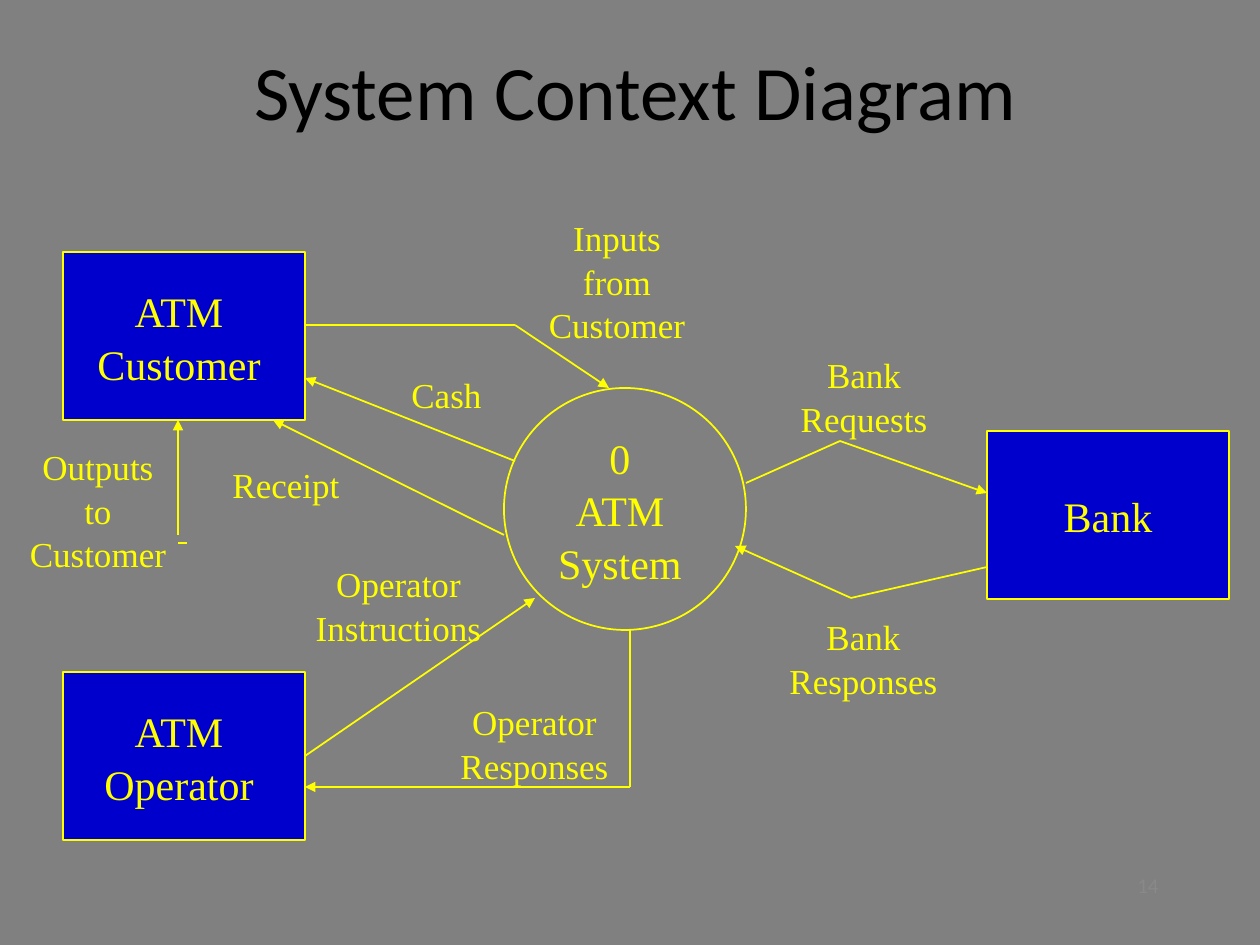
from lxml.etree import SubElement
from pptx import Presentation
from pptx.dml.color import RGBColor
from pptx.enum.shapes import MSO_CONNECTOR as LINE, MSO_SHAPE as SHAPE
from pptx.enum.text import MSO_ANCHOR as ANCHOR, PP_ALIGN as ALIGN
from pptx.oxml.ns import qn
from pptx.util import Pt

SCALE = 914400 / 126  # EMU in one px
YELLOW, BLUE, GREY = "FFFF00", "0000CC", "808080"
SERIF = {"name": "Times New Roman", "size": Pt(24)}
LABEL = {"name": "Times New Roman", "size": Pt(20)}
TITLE = {"name": "Calibri", "size": Pt(44)}
NUMBER = {"name": "Calibri", "size": Pt(12)}


def px(*lengths):
    """Turn px into EMU."""
    return [round(length * SCALE) for length in lengths]


def write(box, text, font, color, anchor=ANCHOR.TOP, right=0, spacing=1.0):
    """Fill a shape with centred text; a newline starts a paragraph."""
    frame = box.text_frame
    frame.text = text
    settings = {"word_wrap": False, "vertical_anchor": anchor, "margin_left": 0,
                "margin_top": 0, "margin_right": px(right)[0], "margin_bottom": 0}
    for name, value in settings.items():
        setattr(frame, name, value)
    for para in frame.paragraphs:
        para.alignment = ALIGN.CENTER
        para.line_spacing = spacing
        for span in para.runs:
            for name, value in font.items():
                setattr(span.font, name, value)
            span.font.color.rgb = RGBColor.from_string(color)


deck = Presentation()
deck.slide_width, deck.slide_height = px(1260, 945)
page = deck.slides.add_slide(deck.slide_layouts[5])
page.background.fill.solid()
page.background.fill.fore_color.rgb = RGBColor.from_string(GREY)

title = page.shapes.title
title.left, title.top, title.width, title.height = px(105, 42, 1061, 95)
write(title, "System Context Diagram", TITLE, "000000", ANCHOR.MIDDLE)

# Process and external entities: kind, text, left, top, height, right inset
nodes = [
    (SHAPE.OVAL, "0\nATM\nSystem", 504, 388, 242, 10),
    (SHAPE.RECTANGLE, "ATM\nCustomer", 63, 252, 168, 10),
    (SHAPE.RECTANGLE, "Bank", 987, 431, 168, 0),
    (SHAPE.RECTANGLE, "ATM\nOperator", 63, 672, 168, 10),
]
for kind, text, left, top, height, right in nodes:
    node = page.shapes.add_shape(kind, *px(left, top, 242, height))
    node.shadow.inherit = False
    if kind == SHAPE.OVAL:
        node.fill.background()
    else:
        node.fill.solid()
        node.fill.fore_color.rgb = RGBColor.from_string(BLUE)
    node.line.color.rgb = RGBColor.from_string(YELLOW)
    node.line.width = Pt(1)
    write(node, text, SERIF, YELLOW, ANCHOR.MIDDLE, right, 1.04)

# Data flows: corner points, with the arrowhead at the last one
flows = [
    [(305, 325), (515, 325), (609, 388)],
    [(515, 461), (305, 378)],
    [(504, 535), (273, 420)],
    [(178, 535), (178, 420)],
    [(305, 756), (535, 598)],
    [(630, 630), (630, 787), (305, 787)],
    [(746, 483), (840, 441), (987, 493)],
    [(987, 567), (851, 598), (735, 546)],
]
dash = [(178, 543), (187, 543)]
for points in flows + [dash]:
    for start, end in zip(points, points[1:]):
        line = page.shapes.add_connector(LINE.STRAIGHT, *px(*start, *end))
        line.line.color.rgb = RGBColor.from_string(YELLOW)
        line.line.width = Pt(1)
        if end == points[-1] and points is not dash:
            SubElement(line.line._get_or_add_ln(), qn("a:tailEnd"), type="triangle")
        SubElement(line._element.spPr, qn("a:effectLst"))

# Flow names: text, left, top, width
labels = [
    ("Operator\vInstructions", 314, 561, 169),
    ("Inputs\vfrom\vCustomer", 547, 215, 140),
    ("Cash", 410, 372, 73),
    ("Receipt", 231, 462, 110),
    ("Outputs\vto\vCustomer", 28, 444, 140),
    ("Bank\vRequests", 799, 352, 130),
    ("Bank\vResponses", 788, 614, 151),
    ("Operator\vResponses", 459, 699, 151),
]
for text, left, top, width in labels:
    height = 42 * len(text.split("\v"))
    label = page.shapes.add_textbox(*px(left, top, width, height))
    write(label, text, LABEL, YELLOW, spacing=1.04)

number = page.shapes.add_textbox(*px(1128, 872, 40, 26))
write(number, "14", NUMBER, "898989", ANCHOR.MIDDLE)

deck.save("out.pptx")
